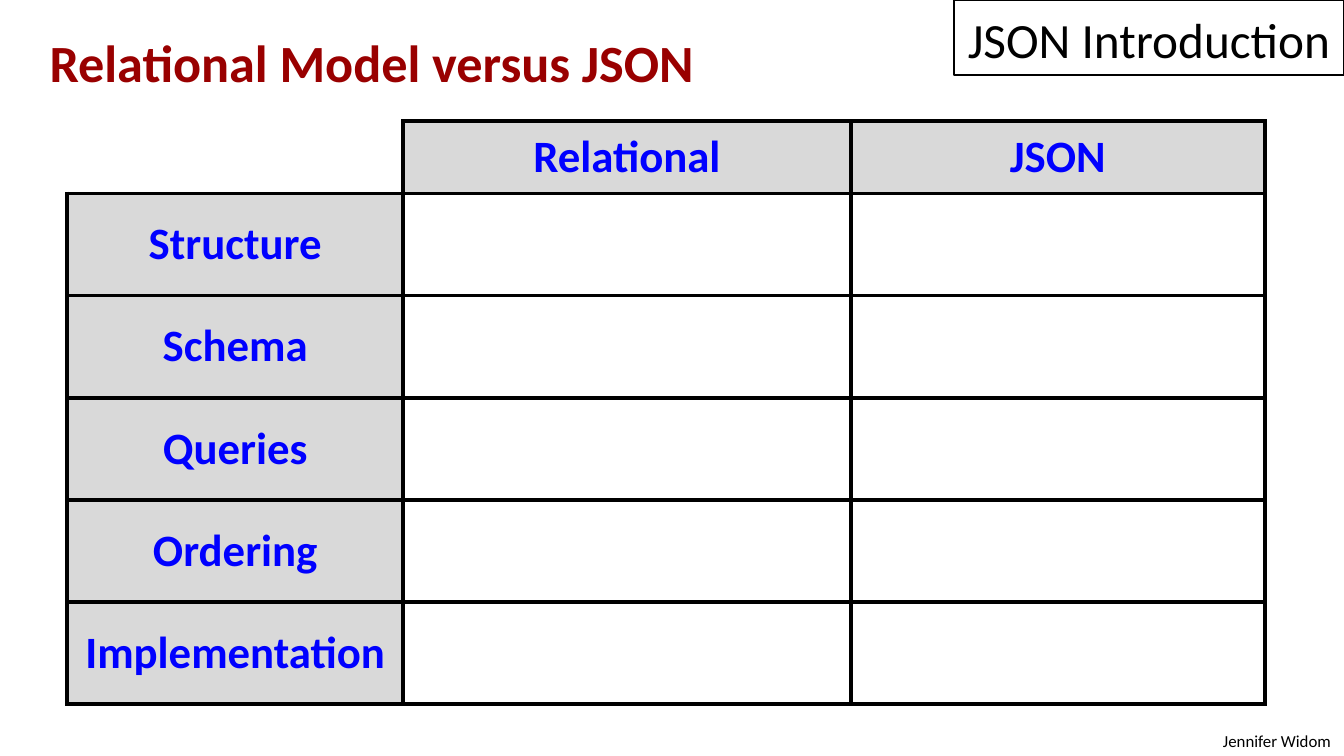
from lxml.etree import SubElement
from pptx import Presentation
from pptx.dml.color import RGBColor
from pptx.enum.shapes import MSO_SHAPE
from pptx.enum.text import MSO_ANCHOR, PP_ALIGN
from pptx.oxml.ns import qn
from pptx.util import Inches, Pt

BLACK = RGBColor(0x00, 0x00, 0x00)
DARK_RED = RGBColor(0x99, 0x00, 0x00)
BLUE = RGBColor(0x00, 0x00, 0xFF)
GRAY = RGBColor(0xD9, 0xD9, 0xD9)
FONT = "Calibri"

COLUMN_HEADERS = ["Relational", "JSON"]
ROW_HEADERS = ["Structure", "Schema", "Queries", "Ordering", "Implementation"]
COLUMN_WIDTHS = [2.5, 3.33, 3.08]
ROW_HEIGHTS = [0.54] + [0.76] * len(ROW_HEADERS)


def write_text(text_frame, text, size, color, alignment, bold=False):
    text_frame.text = text
    paragraph = text_frame.paragraphs[0]
    paragraph.alignment = alignment
    font = paragraph.runs[0].font
    font.name = FONT
    font.size = Pt(size)
    font.bold = bold
    font.color.rgb = color
    return paragraph


def add_label(slide, box, text, size, color, alignment, bold=False):
    shape = slide.shapes.add_textbox(*map(Inches, box))
    shape.text_frame.word_wrap = True
    return write_text(shape.text_frame, text, size, color, alignment, bold)


def add_title(slide):
    paragraph = add_label(slide, (0.17, 0.23, 9.08, 0.58), "Relational Model versus JSON",
                          28, DARK_RED, PP_ALIGN.LEFT, bold=True)
    paragraph.line_spacing = 0.9
    paragraph.space_after = Pt(6)
    # Hanging indent
    properties = paragraph._p.get_or_add_pPr()
    properties.set("marL", str(Inches(0.3)))
    properties.set("indent", str(Inches(-0.2)))


def add_borders(cell, sides):
    properties = cell._tc.get_or_add_tcPr()
    for side in sides:
        line = SubElement(properties, qn(f"a:ln{side}"), w=str(Pt(2.25)))
        fill = SubElement(line, qn("a:solidFill"))
        SubElement(fill, qn("a:srgbClr"), val=str(BLACK))


def add_header(cell, text):
    cell.fill.solid()
    cell.fill.fore_color.rgb = GRAY
    cell.vertical_anchor = MSO_ANCHOR.MIDDLE
    write_text(cell.text_frame, text, 24, BLUE, PP_ALIGN.CENTER, bold=True)


def add_comparison_table(slide):
    table = slide.shapes.add_table(
        len(ROW_HEIGHTS), len(COLUMN_WIDTHS), Inches(0.5), Inches(0.9),
        Inches(sum(COLUMN_WIDTHS)), Inches(sum(ROW_HEIGHTS))).table
    for column, width in zip(table.columns, COLUMN_WIDTHS):
        column.width = Inches(width)
    for row, height in zip(table.rows, ROW_HEIGHTS):
        row.height = Inches(height)

    # The corner cell is open at the left and top
    corner = table.cell(0, 0)
    for cell in table.iter_cells():
        add_borders(cell, "RB" if cell == corner else "LRTB")
        cell.fill.background()

    for index, text in enumerate(COLUMN_HEADERS, start=1):
        add_header(table.cell(0, index), text)
    for index, text in enumerate(ROW_HEADERS, start=1):
        add_header(table.cell(index, 0), text)


def add_topic_box(slide):
    shape = slide.shapes.add_shape(
        MSO_SHAPE.RECTANGLE, Inches(7.1), Inches(0), Inches(2.9), Inches(0.56))
    shape.shadow.inherit = False
    shape.fill.background()
    shape.line.color.rgb = BLACK
    shape.line.width = Pt(0.75)
    shape.text_frame.word_wrap = False
    shape.text_frame.vertical_anchor = MSO_ANCHOR.BOTTOM
    write_text(shape.text_frame, "JSON Introduction", 26.4, BLACK, PP_ALIGN.CENTER)


def main():
    presentation = Presentation()
    # Widescreen, 16:9
    presentation.slide_width = Inches(10)
    presentation.slide_height = Inches(10) * 9 // 16
    slide = presentation.slides.add_slide(presentation.slide_layouts[6])

    # Author credit, title, table and topic box
    add_label(slide, (8.92, 5.39, 1.08, 0.25), "Jennifer Widom", 9, BLACK, PP_ALIGN.RIGHT)
    add_title(slide)
    add_comparison_table(slide)
    add_topic_box(slide)

    presentation.save("out.pptx")


if __name__ == "__main__":
    main()
